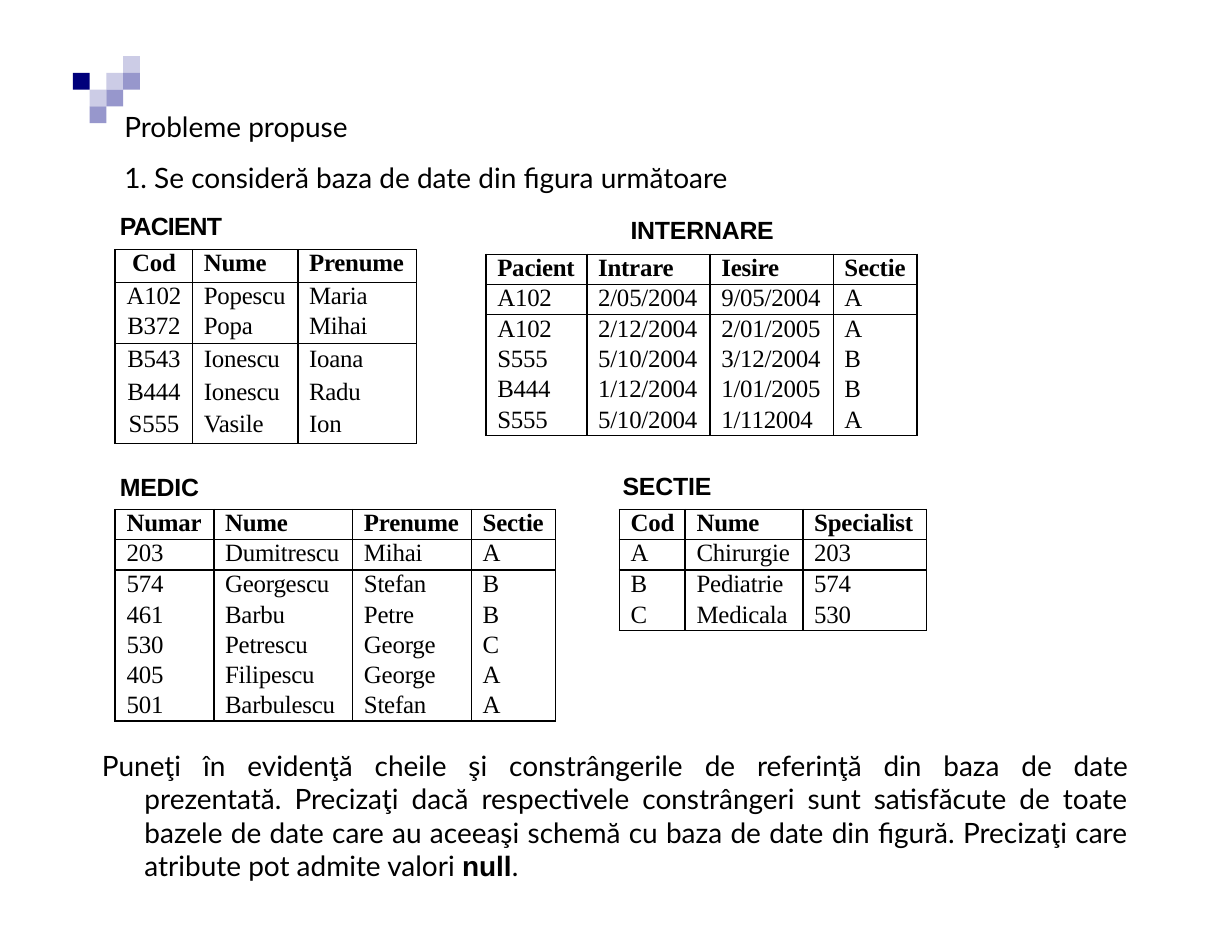
from pptx import Presentation
from pptx.dml.color import RGBColor
from pptx.enum.shapes import MSO_SHAPE
from pptx.enum.text import PP_ALIGN
from pptx.oxml import parse_xml
from pptx.oxml.ns import nsdecls
from pptx.util import Inches, Pt

BLACK = RGBColor(0x00, 0x00, 0x00)
NAVY = RGBColor(0x00, 0x00, 0x7B)
VIOLET = RGBColor(0x97, 0x97, 0xCC)
LAVENDER = RGBColor(0xCC, 0xCC, 0xE6)
NO_STYLE = "{2D5ABB26-0587-4C30-8999-92F81FD0307C}"

# Corner squares: colour and (column, row) cells
SQUARES = [
    (LAVENDER, [(3, 0), (2, 1), (1, 2)]),
    (VIOLET, [(3, 1), (2, 2), (1, 3)]),
    (NAVY, [(0, 1)]),
]
SQUARE = 0.15

INTRO = ["Probleme propuse", "1. Se consideră baza de date din figura următoare"]

# "heavy" is the index of the thicker vertical line
TABLES = [
    {"title": "PACIENT", "title_box": (1.06, 1.87, 0.95), "tracking": -0.5,
     "at": (1.03, 2.23), "heavy": 0, "line_height": 19, "centred_first": True,
     "columns": [0.69, 0.94, 1.06], "heights": [0.29, 0.55, 0.29, 0.29, 0.31],
     "rows": [("Cod", "Nume", "Prenume"),
              ("A102\nB372", "Popescu\nPopa", "Maria\nMihai"),
              ("B543", "Ionescu", "Ioana"),
              ("B444", "Ionescu", "Radu"),
              ("S555", "Vasile", "Ion")]},
    {"title": "INTERNARE", "title_box": (5.62, 1.91, 1.3), "tracking": -0.1,
     "at": (4.34, 2.27), "heavy": 4, "line_height": 18.2,
     "columns": [0.9, 1.1, 1.1, 0.75],
     "rows": [("Pacient", "Intrare", "Iesire", "Sectie"),
              ("A102", "2/05/2004", "9/05/2004", "A"),
              ("A102", "2/12/2004", "2/01/2005", "A"),
              ("S555", "5/10/2004", "3/12/2004", "B"),
              ("B444", "1/12/2004", "1/01/2005", "B"),
              ("S555", "5/10/2004", "1/112004", "A")]},
    {"title": "MEDIC", "title_box": (1.06, 4.2, 0.75), "tracking": -0.1,
     "at": (1.03, 4.55), "heavy": 0, "line_height": 18.2,
     "columns": [0.88, 1.24, 1.06, 0.75],
     "rows": [("Numar", "Nume", "Prenume", "Sectie"),
              ("203", "Dumitrescu", "Mihai", "A"),
              ("574", "Georgescu", "Stefan", "B"),
              ("461", "Barbu", "Petre", "B"),
              ("530", "Petrescu", "George", "C"),
              ("405", "Filipescu", "George", "A"),
              ("501", "Barbulescu", "Stefan", "A")]},
    {"title": "SECTIE", "title_box": (5.55, 4.19, 0.83), "tracking": -0.1,
     "at": (5.53, 4.55), "heavy": 1, "line_height": 18.2,
     "columns": [0.59, 1.05, 1.1],
     "rows": [("Cod", "Nume", "Specialist"),
              ("A", "Chirurgie", "203"),
              ("B", "Pediatrie", "574"),
              ("C", "Medicala", "530")]},
]

TASK_OPENING = "Puneţi în evidenţă cheile şi constrângerile de referinţă din baza de date"
TASK_BODY = ("prezentată. Precizaţi dacă respectivele constrângeri sunt satisfăcute de toate "
             "bazele de date care au aceeaşi schemă cu baza de date din figură. "
             "Precizaţi care atribute pot admite valori ")
TASK_KEYWORD = "null"


def set_font(font, name, size, bold=False):
    font.name, font.size, font.bold = name, Pt(size), bold
    font.color.rgb = BLACK


def track(run, points):
    run.font._element.set("spc", str(round(points * 100)))


def indent(paragraph, left, first=0):
    properties = paragraph._p.get_or_add_pPr()
    properties.set("marL", str(Inches(left)))
    properties.set("indent", str(Inches(first)))


def add_text_box(slide, left, top, width, height, top_inset=0.01):
    box = slide.shapes.add_textbox(Inches(left), Inches(top), Inches(width), Inches(height))
    frame = box.text_frame
    frame.word_wrap = True
    frame.margin_left = frame.margin_right = frame.margin_bottom = 0
    frame.margin_top = Inches(top_inset)
    return frame


def set_borders(cell, widths):
    properties = cell._tc.get_or_add_tcPr()
    for side in "LRTB":
        width = widths.get(side, 0)
        paint = f'<a:solidFill><a:srgbClr val="{BLACK}"/></a:solidFill>' if width else "<a:noFill/>"
        properties.append(parse_xml(
            f'<a:ln{side} {nsdecls("a")} w="{Pt(width)}">{paint}</a:ln{side}>'))


def add_data_table(slide, data):
    rows, columns = data["rows"], data["columns"]
    heights = data.get("heights", [0.27] * len(rows))
    left, top = data["at"]
    frame = slide.shapes.add_table(len(rows), len(columns), Inches(left), Inches(top),
                                   Inches(sum(columns)), Inches(sum(heights)))
    table = frame.table
    table.first_row = table.horz_banding = False
    table._tbl.tblPr.find("{*}tableStyleId").text = NO_STYLE
    for column, width in zip(table.columns, columns):
        column.width = Inches(width)
    for row, height in zip(table.rows, heights):
        row.height = Inches(height)

    ruled_rows = {0, 1, len(rows) - 1}
    for r, values in enumerate(rows):
        for c, value in enumerate(values):
            cell = table.cell(r, c)
            cell.margin_left = cell.margin_right = cell.margin_top = cell.margin_bottom = 0
            cell.text = value
            for number, paragraph in enumerate(cell.text_frame.paragraphs):
                set_font(paragraph.font, "Times New Roman", 16, bold=r == 0)
                paragraph.line_spacing = Pt(17.6 if r < 2 else data["line_height"])
                paragraph.space_before = Pt(1.7 * number)
                if c == 0 and data.get("centred_first"):
                    paragraph.alignment = PP_ALIGN.CENTER
                else:
                    indent(paragraph, 0.1)
                for run in paragraph.runs:
                    track(run, -0.1)
            set_borders(cell, {
                "L": 1.5 if data["heavy"] == c else 1,
                "R": 1.5 if data["heavy"] == c + 1 else 1,
                "T": 1 if r == 0 or r - 1 in ruled_rows else 0,
                "B": 1 if r in ruled_rows else 0,
            })
            cell.fill.background()


def add_task(slide):
    paragraph = add_text_box(slide, 0.9, 6.67, 9.17, 1.23).paragraphs[0]
    paragraph.alignment = PP_ALIGN.JUSTIFY
    paragraph.space_before = Pt(1)
    indent(paragraph, 0.39, -0.38)

    def add_run(text, name="Lato", bold=False):
        run = paragraph.add_run()
        run.text = text
        set_font(run.font, name, 18, bold)
        return run

    # Wide word gaps keep the opening on a line of its own
    for word in TASK_OPENING.split():
        add_run(word)
        track(add_run(" "), 4)
    add_run(TASK_BODY)
    add_run(TASK_KEYWORD, "Arial", bold=True)
    add_run(".")


def main():
    presentation = Presentation()
    presentation.slide_width, presentation.slide_height = Inches(11), Inches(8.5)
    slide = presentation.slides.add_slide(presentation.slide_layouts[6])

    # Corner squares
    for color, cells in SQUARES:
        for column, row in cells:
            shape = slide.shapes.add_shape(
                MSO_SHAPE.RECTANGLE, Inches(0.65 + column * SQUARE),
                Inches(0.5 + row * SQUARE), Inches(SQUARE), Inches(SQUARE))
            shape.shadow.inherit = False
            shape.fill.solid()
            shape.fill.fore_color.rgb = color
            shape.line.fill.background()

    # Introduction
    frame = add_text_box(slide, 1.1, 0.81, 5.56, 0.93, top_inset=0.17)
    frame.text = "\n".join(INTRO)
    for paragraph, space in zip(frame.paragraphs, (12, 11.1)):
        set_font(paragraph.font, "Lato", 18)
        paragraph.space_before = Pt(space)
        indent(paragraph, 0.01)

    # Titled tables
    for data in TABLES:
        paragraph = add_text_box(slide, *data["title_box"], 0.29).paragraphs[0]
        paragraph.text = data["title"]
        set_font(paragraph.font, "Arial", 16, bold=True)
        paragraph.space_before = Pt(0.9)
        indent(paragraph, 0.01)
        track(paragraph.runs[0], data["tracking"])
        add_data_table(slide, data)

    # Task
    add_task(slide)
    presentation.save("out.pptx")


if __name__ == "__main__":
    main()
